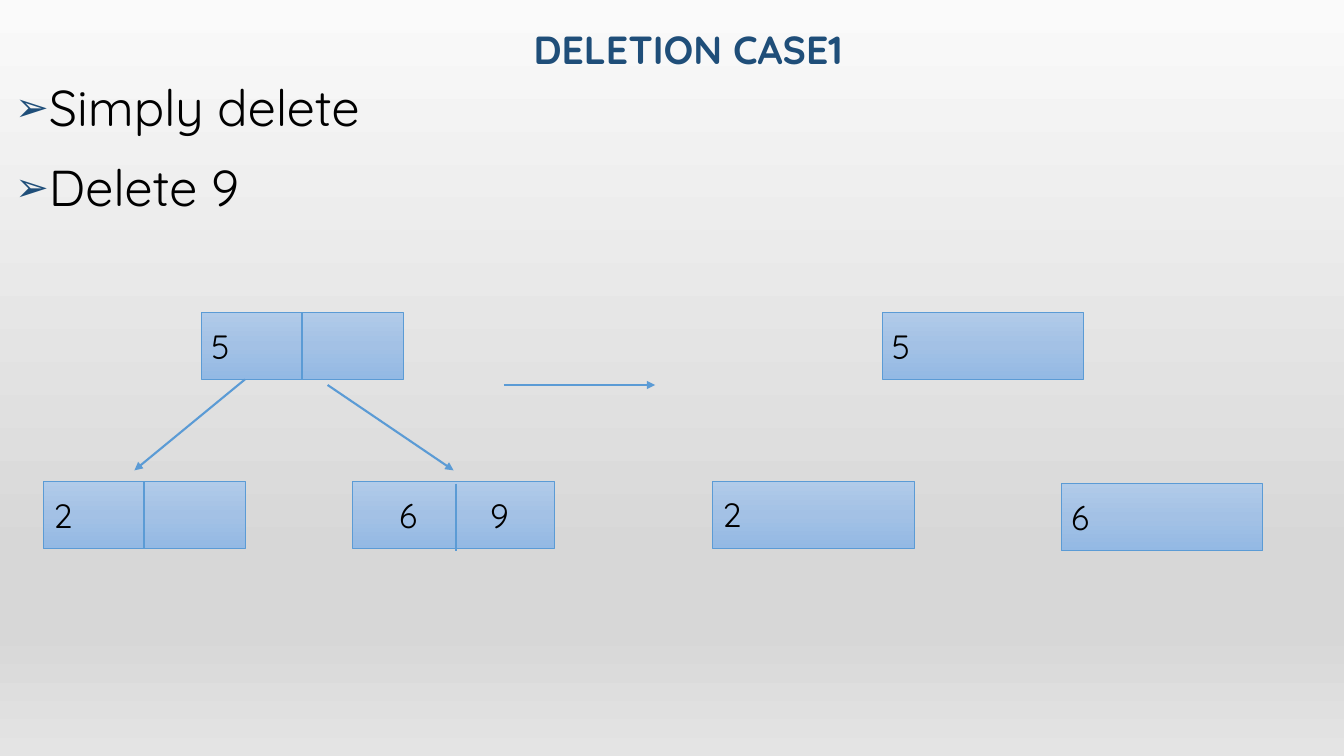
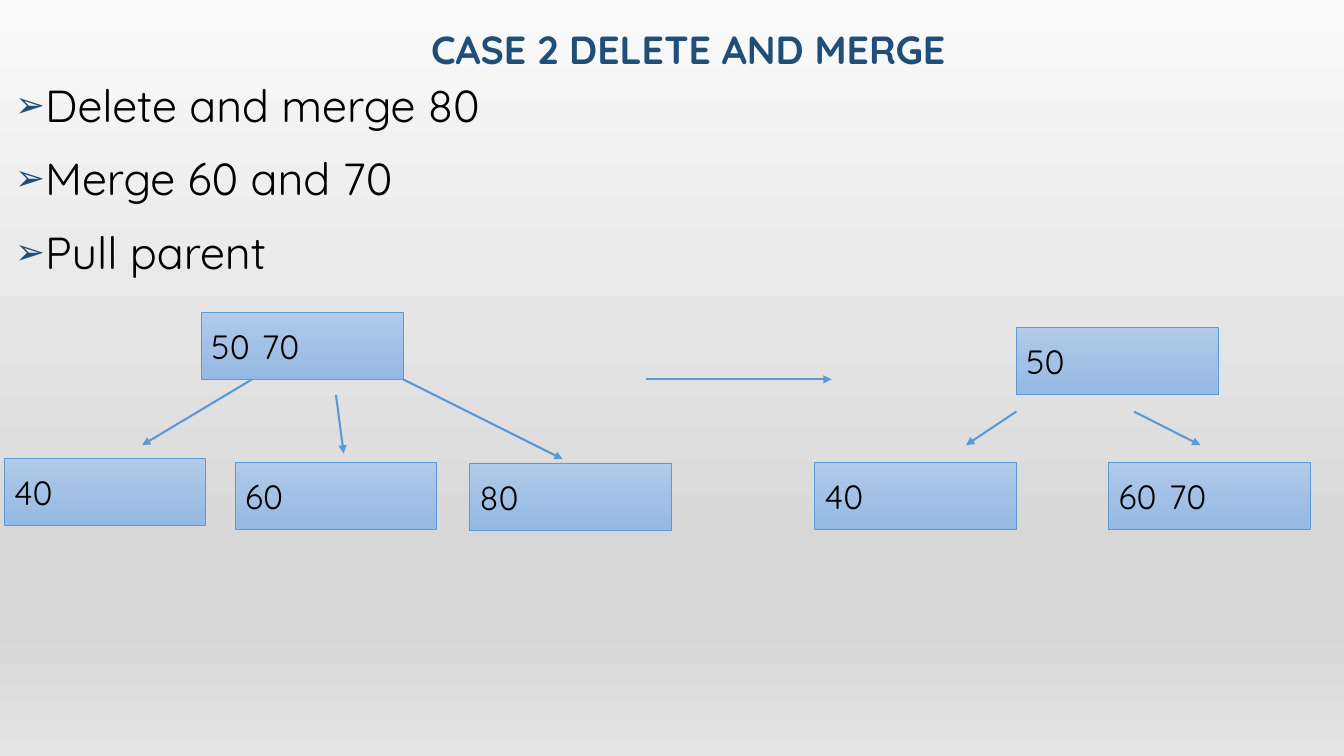
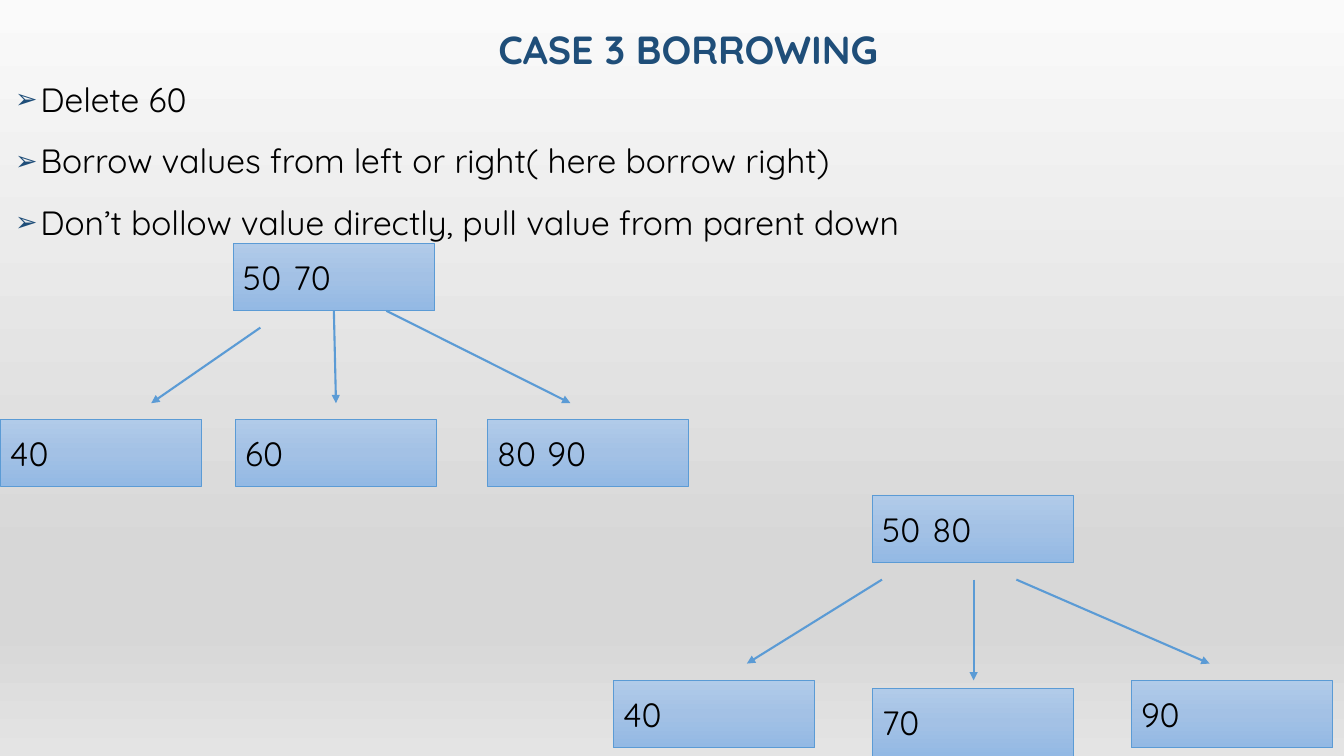
from pptx import Presentation
from pptx.dml.color import RGBColor
from pptx.enum.shapes import MSO_CONNECTOR as Connector, MSO_SHAPE as Preset
from pptx.enum.text import MSO_ANCHOR as Anchor, MSO_AUTO_SIZE as AutoSize, PP_ALIGN as Align
from pptx.oxml import parse_xml
from pptx.oxml.ns import nsdecls, qn
from pptx.util import Pt

FONT = "Quicksand"
NAVY = RGBColor(0x1F, 0x4E, 0x79)
BLUE = RGBColor(0x5B, 0x9B, 0xD5)
BLACK = RGBColor(0, 0, 0)
NODE_STOPS = [(0, RGBColor(0xB1, 0xCB, 0xE9)), (50, RGBColor(0xA3, 0xC1, 0xE5)),
              (100, RGBColor(0x93, 0xB9, 0xE4))]
PAGE_STOPS = [(0, RGBColor(0xFA, 0xFA, 0xFA)), (74, RGBColor(0xD7, 0xD7, 0xD7)),
              (83, RGBColor(0xD7, 0xD7, 0xD7)), (100, RGBColor(0xE4, 0xE4, 0xE4))]

PAGE_W, PAGE_H = 960, 540
NODE_W, NODE_H = 144, 48
TITLE_BOX = (29.5, 0, 924, 56)
BODY_TOP = 56
PAIR_TABS = (26, 91)  # two keys, each in the middle of its half of a node

# Nodes: keys, left, top. Dividers and arrows: start, end. All in points.
CASES = [
    {
        "title": "DELETION CASE1",
        "steps": ["Simply delete", "Delete 9"],
        "step_size": 36, "body": (864, 430),
        "nodes": [("5", 144, 223), ("\t6\t9", 252, 344), ("2", 31, 344),
                  ("5", 630, 223), ("2", 509, 343.5), ("6", 758, 345.5)],
        "dividers": [((216, 223), (216, 271)), ((103, 344), (103, 392)),
                     ((326, 345.5), (326, 393.5))],
        "arrows": [((175, 271), (96, 336)), ((234, 275), (324, 336)),
                   ((360, 275), (468, 275))],
    },
    {
        "title": "CASE 2 DELETE AND MERGE",
        "steps": ["Delete and merge 80", "Merge 60 and 70", "Pull parent"],
        "step_size": 32, "body": (954, 430),
        "nodes": [("50\t70", 144, 223), ("60", 168, 330.5), ("40", 3, 327.5),
                  ("80", 335.5, 331), ("50", 726, 234), ("60\t70", 792, 330.5),
                  ("40", 582, 330.5)],
        "dividers": [],
        "arrows": [((180, 271), (101.5, 318)), ((240, 282), (245.5, 324)),
                   ((288, 271), (402, 328)), ((726, 294), (690, 318)),
                   ((810, 294), (857.5, 318)), ((461.5, 271), (594, 271))],
    },
    {
        "title": "CASE 3 BORROWING",
        "steps": ["Delete 60",
                  "Borrow values from left or right( here borrow right)",
                  "Don’t bollow value directly, pull value from parent down"],
        "step_size": 24, "body": (864, 490),
        "nodes": [("80\t90", 348, 299.5), ("50\t70", 166.5, 174), ("50\t80", 623, 354),
                  ("40", 438, 486), ("70", 623, 492), ("90", 808, 486),
                  ("60", 168, 299.5), ("40", 0, 299.5)],
        "dividers": [],
        "arrows": [((186, 234), (108, 288)), ((238.5, 222), (240, 288)),
                   ((276, 222), (407.5, 288)), ((630, 414), (533.5, 474)),
                   ((695.5, 414), (695.5, 486)), ((726, 414), (864, 474))],
    },
]


def place(shape, left, top, width, height):
    shape.left, shape.top, shape.width, shape.height = map(Pt, (left, top, width, height))


def paint_gradient(owner, fill, stops):
    """Fill from top to bottom with (percent, colour) stops."""
    fill.gradient()
    fill.gradient_angle = 270
    stop_list = next(owner.element.iter(qn("a:gsLst")))
    stop_list[:] = [
        parse_xml(f'<a:gs {nsdecls("a")} pos="{percent * 1000}"><a:srgbClr val="{color}"/></a:gs>')
        for percent, color in stops]


def write(frame, text, size=None, color=None, font=None, align=None, tabs=()):
    """Set the text, one paragraph a line; what is not given is inherited."""
    frame.text = text
    for paragraph in frame.paragraphs:
        if align is not None:
            paragraph.alignment = align
        if tabs:
            stops = "".join(f'<a:tab pos="{Pt(tab)}" algn="l"/>' for tab in tabs)
            paragraph._p.get_or_add_pPr().append(
                parse_xml(f'<a:tabLst {nsdecls("a")}>{stops}</a:tabLst>'))
        for run in paragraph.runs:
            if size:
                run.font.size = Pt(size)
            if color is not None:
                run.font.color.rgb = color
            if font:
                run.font.name = font


def set_level_style(placeholder, attributes, spacing, run_attributes, color):
    """Give a layout placeholder its first-level text style."""
    style = placeholder.element.find(".//" + qn("a:lstStyle"))
    style[:] = [parse_xml(
        f'<a:lvl1pPr {nsdecls("a")} {attributes}>'
        f'<a:lnSpc><a:spcPct val="90000"/></a:lnSpc>{spacing}'
        f'<a:defRPr {run_attributes}><a:solidFill><a:srgbClr val="{color}"/></a:solidFill>'
        f'<a:latin typeface="{FONT}"/></a:defRPr></a:lvl1pPr>')]


def style_template(prs):
    master = prs.slide_master
    paint_gradient(master, master.background.fill, PAGE_STOPS)
    layout = prs.slide_layouts[1]
    title, body = layout.placeholders[0], layout.placeholders[1]
    place(title, *TITLE_BOX)
    place(body, 0, BODY_TOP, *CASES[0]["body"])
    set_level_style(title, 'algn="ctr"', "", 'sz="2800" b="1"', NAVY)
    set_level_style(
        body, f'marL="{Pt(21.6)}" indent="{Pt(-18)}"',
        '<a:spcBef><a:spcPts val="1800"/></a:spcBef>'
        f'<a:buClr><a:srgbClr val="{NAVY}"/></a:buClr>'
        '<a:buSzPct val="80000"/><a:buChar char="➢"/>',
        'sz="2400"', BLACK)
    for holder, anchor in ((title, Anchor.BOTTOM), (body, Anchor.TOP)):
        holder.text_frame.vertical_anchor = anchor
        holder.text_frame.auto_size = AutoSize.NONE
    return layout


def add_node(slide, keys, left, top):
    node = slide.shapes.add_shape(Preset.RECTANGLE, *map(Pt, (left, top, NODE_W, NODE_H)))
    node.shadow.inherit = False
    paint_gradient(node, node.fill, NODE_STOPS)
    node.line.color.rgb = BLUE
    node.line.width = Pt(0.5)
    write(node.text_frame, keys, size=24, color=BLACK, font=FONT, align=Align.LEFT,
          tabs=PAIR_TABS if keys.startswith("\t") else ())
    return node


def side_at(nodes, point):
    """Return the node and site whose side has its middle at the point, or None."""
    x, y = map(Pt, point)
    for node in nodes:
        middle_x, middle_y = node.left + node.width // 2, node.top + node.height // 2
        sites = [(middle_x, node.top), (node.left, middle_y),
                 (middle_x, node.top + node.height), (node.left + node.width, middle_y)]
        if (x, y) in sites:
            return node, sites.index((x, y))
    return None


def add_link(slide, nodes, start, end, arrow):
    link = slide.shapes.add_connector(Connector.STRAIGHT, *map(Pt, (*start, *end)))
    for point, connect in ((start, link.begin_connect), (end, link.end_connect)):
        side = side_at(nodes, point)
        if side:
            connect(*side)
    link.line.color.rgb = BLUE
    link.line.width = Pt(1.5)
    if arrow:
        link.line._get_or_add_ln().append(
            parse_xml(f'<a:tailEnd {nsdecls("a")} type="triangle"/>'))
    link.element.spPr.append(parse_xml(f'<a:effectLst {nsdecls("a")}/>'))


def add_case(prs, layout, case):
    slide = prs.slides.add_slide(layout)
    write(slide.shapes.title.text_frame, case["title"])
    steps = slide.placeholders[1]
    place(steps, 0, BODY_TOP, *case["body"])
    write(steps.text_frame, "\n".join(case["steps"]), size=case["step_size"])
    nodes = [add_node(slide, *node) for node in case["nodes"]]
    for kind in ("dividers", "arrows"):
        for start, end in case[kind]:
            add_link(slide, nodes, start, end, arrow=kind == "arrows")


def main():
    prs = Presentation()
    prs.slide_width, prs.slide_height = Pt(PAGE_W), Pt(PAGE_H)
    layout = style_template(prs)
    for case in CASES:
        add_case(prs, layout, case)
    prs.save("out.pptx")


if __name__ == "__main__":
    main()
